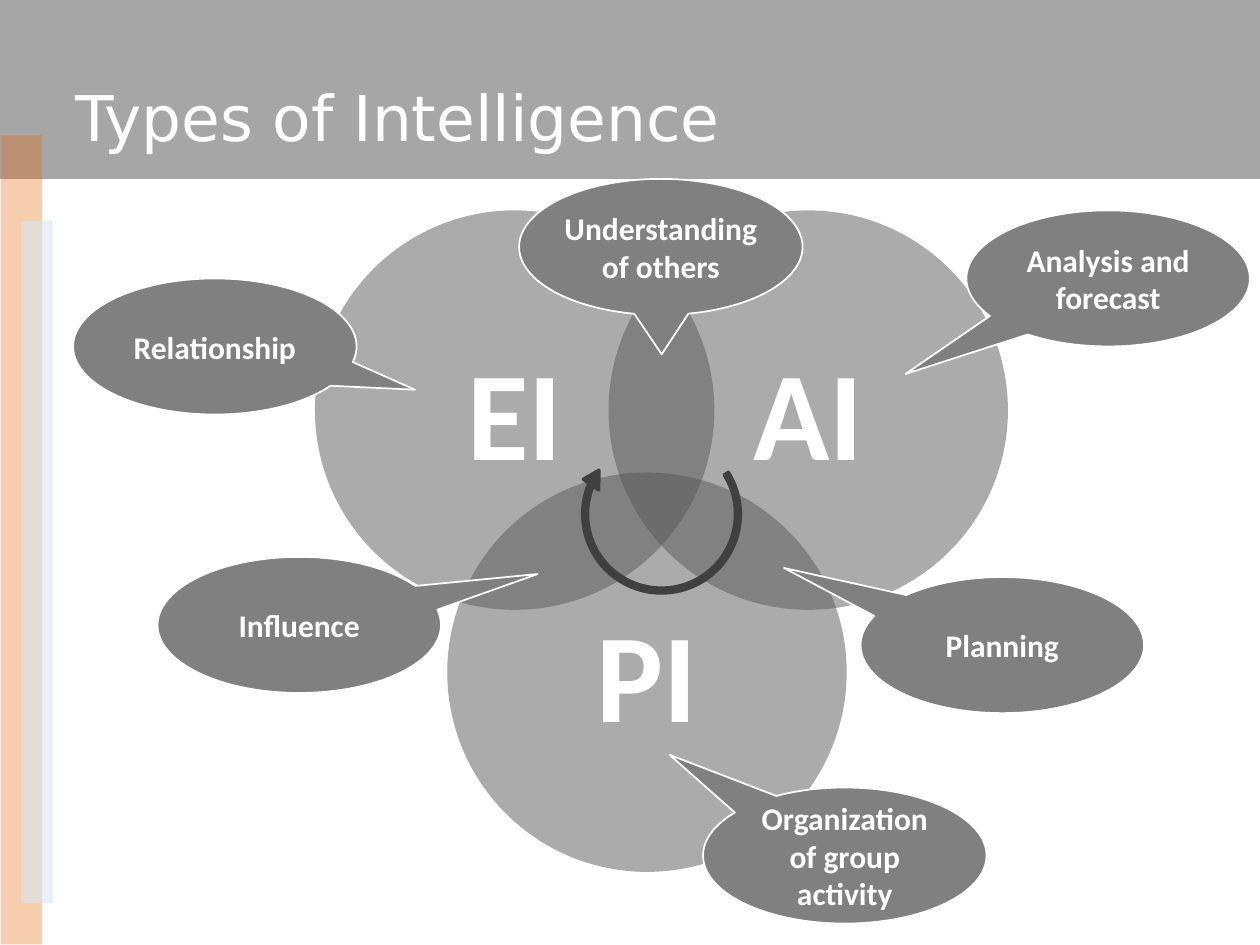
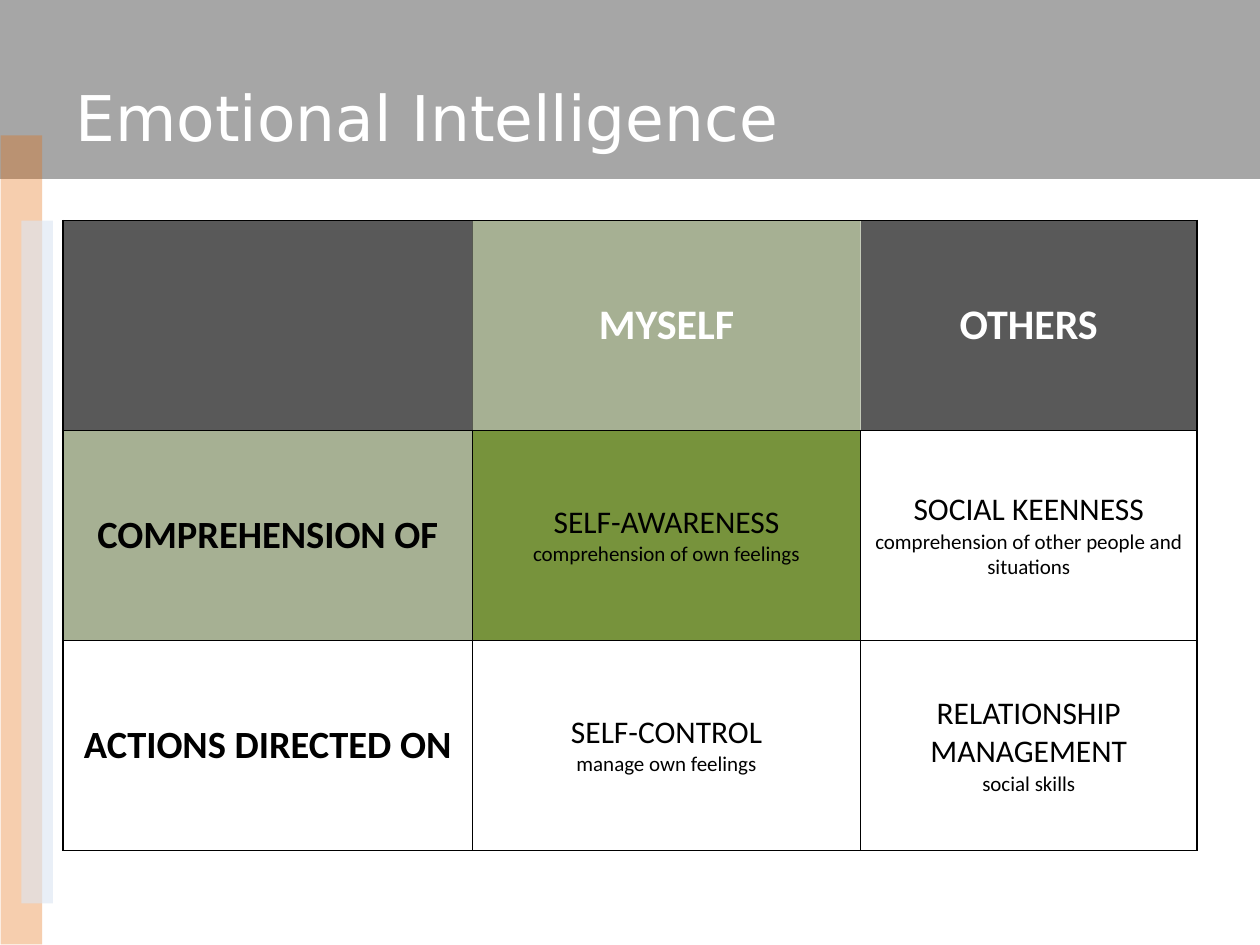
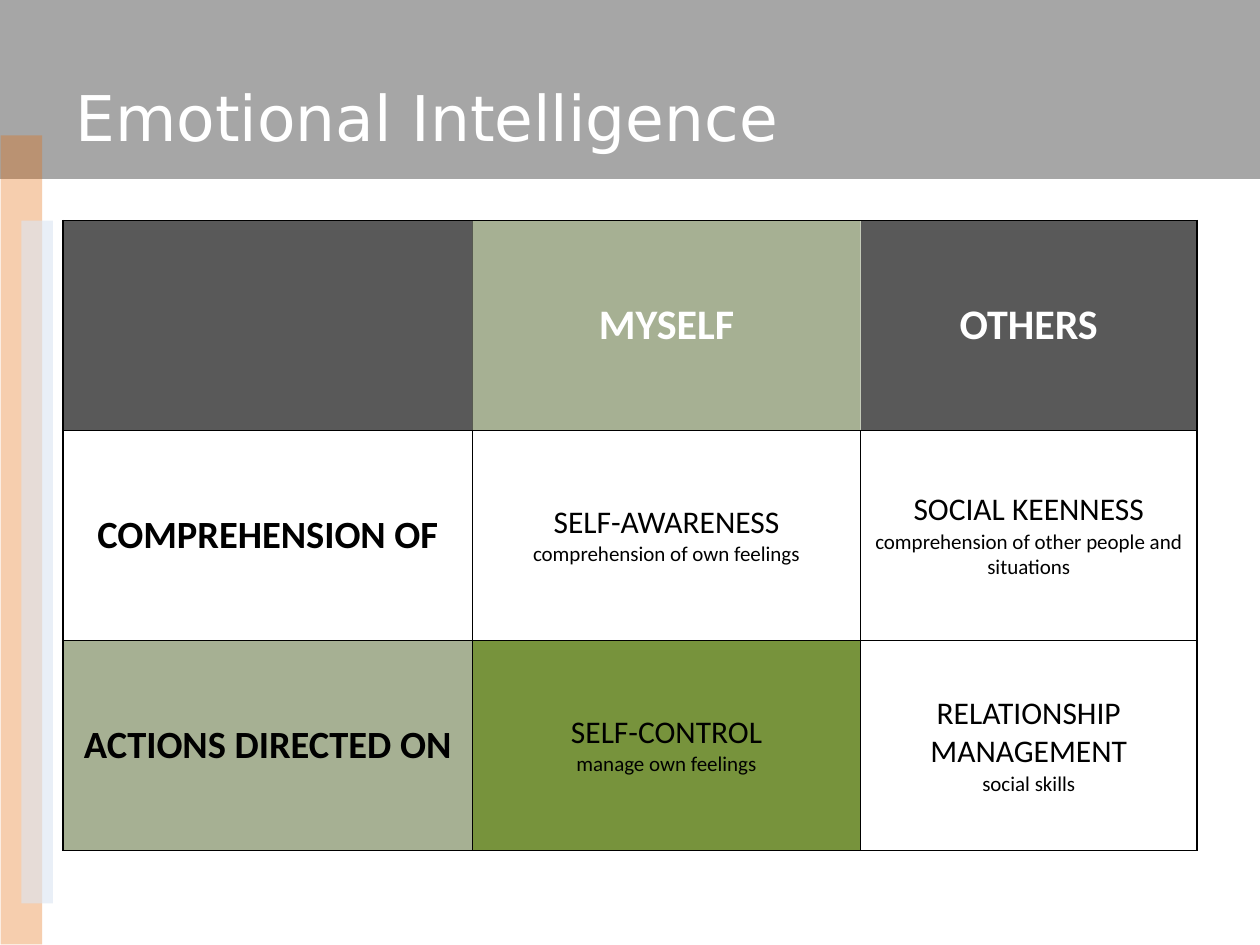
from pptx import Presentation
from pptx.dml.color import RGBColor
from pptx.enum.shapes import MSO_SHAPE
from pptx.enum.text import MSO_ANCHOR, MSO_AUTO_SIZE, PP_ALIGN
from pptx.oxml.ns import qn
from pptx.util import Inches, Pt
from lxml import etree

RECTANGLE, ELLIPSE = MSO_SHAPE.RECTANGLE, MSO_SHAPE.OVAL
CALLOUT, ARROW = MSO_SHAPE.OVAL_CALLOUT, MSO_SHAPE.CIRCULAR_ARROW
CENTER, LEFT, MIDDLE = PP_ALIGN.CENTER, PP_ALIGN.LEFT, MSO_ANCHOR.MIDDLE

TITLE_FONT, BODY_FONT = "DejaVu Sans", "Calibri"
WHITE, BLACK = "FFFFFF", "000000"
DARK, BUBBLE, ARROW_GREY = "595959", "808080", "404040"
OLIVE, GREEN = "4F6228", "77933C"

# Bands: box, colour, opacity in percent, rotation
BANDS = [
    ((0, 0, 10, 1.42), "A6A6A6", 100, 0),
    ((-3.04, 4.12, 6.42, 0.33), "E46C0A", 33, 270),
    ((0.17, 1.75, 0.25, 5.42), "DCE6F2", 61, 0),
]
TITLE_BOX = (0.5, 0.3, 9, 1.25)

CIRCLE_SIZE = 3.17
CIRCLES = [("AI", 4.83, 1.67), ("PI", 3.55, 3.75), ("EI", 2.5, 1.67)]

# Callouts: text, left, top, tip offset as shares of the bubble, side inset
BUBBLE_SIZE = (2.25, 1.08)
CALLOUTS = [
    ("Analysis and forecast", 7.67, 1.67, (-0.715, 0.702), 0.1),
    ("Organization of group activity", 5.58, 6.25, (-0.618, -0.74), 0.1),
    ("Relationship", 0.58, 2.21, (0.706, 0.318), 0.1),
    ("Planning", 6.83, 4.58, (-0.77, -0.567), 0.1),
    ("Influence", 1.25, 4.42, (0.841, -0.374), 0.1),
    ("Understanding of others", 4.12, 1.42, (0.003, 0.789), 0),
]
CYCLE_BOX = (4.57, 3.4, 1.36, 1.36)
CYCLE_SHAPE = (0.028, 7.379, 201.7, 60.874, 0.054)

TABLE_BOX = (0.5, 1.75, 9, 5)
COLUMN_WIDTHS = (3.25, 3.08, 2.67)
HEADINGS = ["", "MYSELF", "OTHERS"]
SKILLS = [
    ("COMPREHENSION OF",
     ("SELF-AWARENESS", "comprehension of own feelings"),
     ("SOCIAL KEENNESS", "comprehension of other people and situations")),
    ("ACTIONS DIRECTED ON",
     ("SELF-CONTROL", "manage own feelings"),
     ("RELATIONSHIP MANAGEMENT", "social skills")),
]
WIDE_INSET_CELL = (1, 1)
FOCUS_COLUMN = 1
TABLE_SLIDES = [("Emotional Intelligence", 1), ("Emotional Intelligence", 2)]


def rgb(color):
    return RGBColor.from_string(color)


def inches(values):
    return [Inches(value) for value in values]


def paint(fill, properties, color, opacity=100):
    """Fill solidly; properties is the XML element that holds the fill."""
    fill.solid()
    fill.fore_color.rgb = rgb(color)
    if opacity < 100:
        tint = properties.find(qn("a:solidFill")).find(qn("a:srgbClr"))
        etree.SubElement(tint, qn("a:alpha"), val=str(opacity * 1000))


def write(frame, lines, font, align=CENTER):
    """Write one paragraph per (text, size, colour, bold) line."""
    for index, (text, size, color, bold) in enumerate(lines):
        para = frame.add_paragraph() if index else frame.paragraphs[0]
        para.alignment = align
        span = para.add_run()
        span.text = text
        span.font.name, span.font.size, span.font.bold = font, Pt(size), bold
        span.font.color.rgb = rgb(color)


def add_figure(page, kind, box, color, opacity=100, outline=None, width=1):
    figure = page.shapes.add_shape(kind, *inches(box))
    figure.shadow.inherit = False
    paint(figure.fill, figure.element.spPr, color, opacity)
    if outline:
        figure.line.color.rgb = rgb(outline)
        figure.line.width = Pt(width)
    else:
        figure.line.fill.background()
    return figure


def set_adjustments(figure, values):
    for index, value in enumerate(values):
        figure.adjustments[index] = value


def prepare_layout(layout, page):
    """Draw the bands through a page, then move them behind the layout's title."""
    for index, (box, color, opacity, rotation) in enumerate(BANDS):
        band = add_figure(page, RECTANGLE, box, color, opacity)
        band.rotation = rotation
        layout.shapes.element.insert(2 + index, band.element)
    title = layout.placeholders[0]
    title.left, title.top, title.width, title.height = inches(TITLE_BOX)


def set_title(page, text):
    frame = page.shapes.title.text_frame
    frame.vertical_anchor = MIDDLE
    frame.auto_size = MSO_AUTO_SIZE.NONE
    write(frame, [(text, 36, WHITE, False)], TITLE_FONT, LEFT)


def draw_types(page):
    set_title(page, "Types of Intelligence")
    for text, left, top in CIRCLES:
        circle = add_figure(page, ELLIPSE, (left, top, CIRCLE_SIZE, CIRCLE_SIZE), DARK, 50)
        write(circle.text_frame, [(text, 72, WHITE, True)], BODY_FONT)
    for text, left, top, tip, inset in CALLOUTS:
        bubble = add_figure(page, CALLOUT, (left, top, *BUBBLE_SIZE), BUBBLE, outline=WHITE)
        set_adjustments(bubble, tip)
        frame = bubble.text_frame
        frame.margin_left = frame.margin_right = Inches(inset)
        write(frame, [(text, 18, WHITE, True)], BODY_FONT)
    cycle = add_figure(page, ARROW, CYCLE_BOX, ARROW_GREY, outline=ARROW_GREY, width=2)
    cycle.rotation = 226.6
    set_adjustments(cycle, CYCLE_SHAPE)


def set_borders(properties, row, column):
    """Rule every edge except those between two heading cells."""
    body = row > 0
    edges = [
        ("a:lnL", body or column == 0),
        ("a:lnR", body or column == len(HEADINGS) - 1),
        ("a:lnT", True),
        ("a:lnB", True),
    ]
    for index, (tag, visible) in enumerate(edges):
        edge = etree.Element(qn(tag), w=str(Pt(0.75)))
        if visible:
            solid = etree.SubElement(edge, qn("a:solidFill"))
            etree.SubElement(solid, qn("a:srgbClr"), val=BLACK)
        else:
            etree.SubElement(edge, qn("a:noFill"))
        properties.insert(index, edge)


def cell_lines(row, column):
    if row == 0:
        return [(HEADINGS[column], 24, WHITE, True)] if HEADINGS[column] else []
    content = SKILLS[row - 1][column]
    if column == 0:
        return [(content, 22, BLACK, True)]
    return [(text, size, BLACK, False) for text, size in zip(content, (18, 12))]


def cell_color(row, column, focus_row):
    """Give colour and opacity; the focus cell and its two headings stand out."""
    if (row, column) == (focus_row, FOCUS_COLUMN):
        return GREEN, 100
    if (row, column) in ((0, FOCUS_COLUMN), (focus_row, 0)):
        return OLIVE, 50
    return (DARK, 100) if row == 0 else None


def draw_matrix(page, title, focus_row):
    set_title(page, title)
    row_count = len(SKILLS) + 1
    table = page.shapes.add_table(row_count, len(HEADINGS), *inches(TABLE_BOX)).table
    table.horz_banding = False
    for column, width in zip(table.columns, COLUMN_WIDTHS):
        column.width = Inches(width)
    for row in range(row_count):
        for column in range(len(HEADINGS)):
            cell = table.cell(row, column)
            cell.vertical_anchor = MIDDLE
            if (row, column) == WIDE_INSET_CELL:
                cell.margin_left = cell.margin_right = Inches(0.31)
            write(cell.text_frame, cell_lines(row, column), BODY_FONT)
            properties = cell._tc.get_or_add_tcPr()
            color = cell_color(row, column, focus_row)
            if color:
                paint(cell.fill, properties, *color)
            else:
                cell.fill.background()
            set_borders(properties, row, column)


def main():
    deck = Presentation()
    deck.slide_width, deck.slide_height = Inches(10), Inches(7.5)
    layout = deck.slide_layouts.get_by_name("Title Only")
    page = deck.slides.add_slide(layout)
    prepare_layout(layout, page)
    draw_types(page)
    for title, focus_row in TABLE_SLIDES:
        draw_matrix(deck.slides.add_slide(layout), title, focus_row)
    deck.save("out.pptx")


if __name__ == "__main__":
    main()
